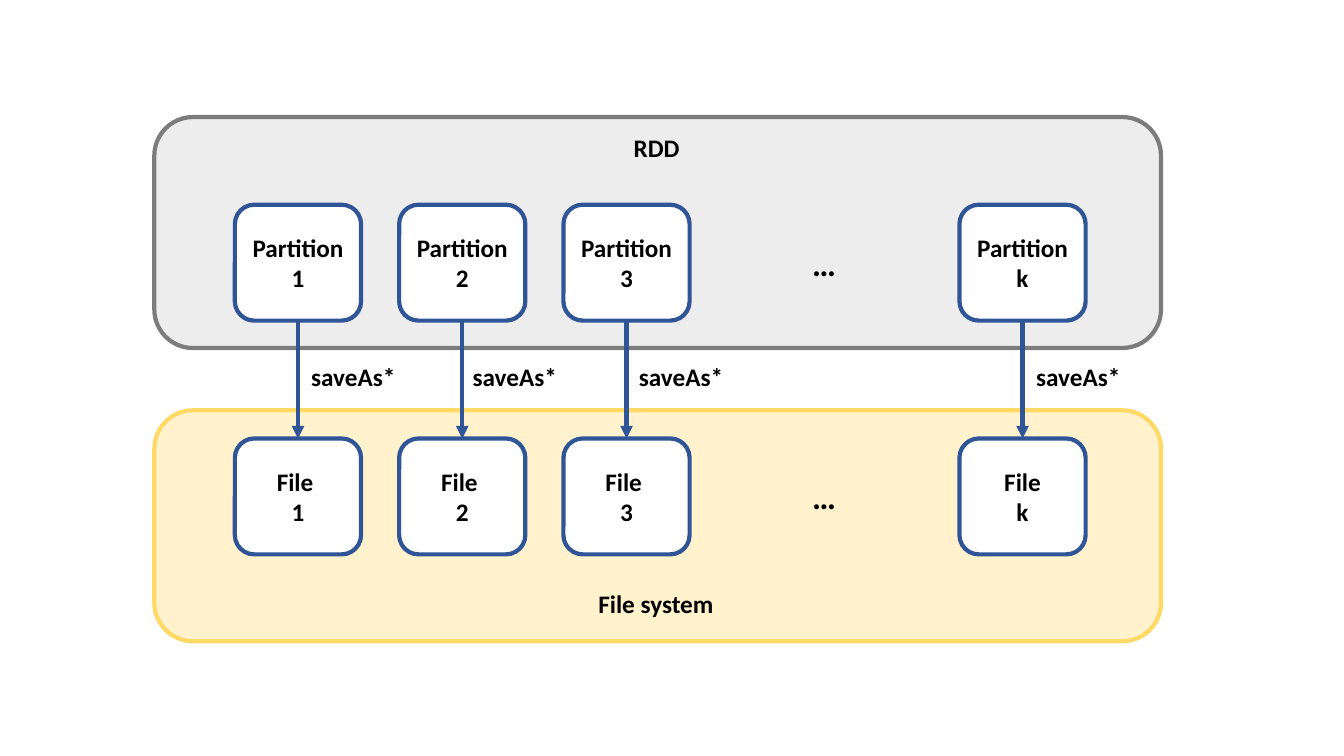
import pptx
import pptx.util
import pptx.dml.color
import pptx.oxml
import pptx.oxml.ns
from pptx.enum.shapes import MSO_CONNECTOR, MSO_SHAPE
from pptx.enum.text import MSO_ANCHOR, MSO_AUTO_SIZE, PP_ALIGN

Cm, Pt = pptx.util.Cm, pptx.util.Pt

# Content: key, file caption, left edge of the box, left edge of the save label
STEP, FIRST = 4.14, 5.92
columns = [
    ("1", "File ", FIRST, 7.59),
    ("2", "File ", FIRST + STEP, 11.66),
    ("3", "File ", FIRST + 2 * STEP, 15.85),
    ("k", "File", 24.18, 25.86),
]
# Containers: top, fill, line
containers = [(10.34, "FFF2CC", "FFD966"), (2.95, "EDEDED", "7C7C7C")]
# Captions: text, left, top, width, height, size
captions = [
    ("…", 20.22, 11.86, 1.12, 1.27, 24),
    ("…", 20.22, 5.99, 1.12, 1.27, 24),
    ("RDD", 15.72, 3.2, 1.68, 1.02, 18),
    ("File system", 14.83, 14.71, 3.43, 1.02, 18),
]
captions += [("saveAs*", label_left, 8.97, 2.64, 1.02, 18)
             for _, _, _, label_left in columns]

# Layout
CONTAINER_LEFT, CONTAINER_WIDTH, CONTAINER_HEIGHT = 3.89, 25.37, 5.82
BOX_WIDTH, BOX_HEIGHT = 3.18, 2.92
PARTITION_TOP, FILE_TOP = 5.16, 11.05
BLUE, BLACK, WHITE = "2F5597", "000000", "FFFFFF"

presentation = pptx.Presentation()
presentation.slide_width, presentation.slide_height = Cm(33.87), Cm(19.05)
slide = presentation.slides.add_slide(presentation.slide_layouts[6])


def color(hex_value):
    return pptx.dml.color.RGBColor.from_string(hex_value)


def write(frame, lines, size, align):
    for index, line in enumerate(lines):
        paragraph = frame.paragraphs[0] if index == 0 else frame.add_paragraph()
        paragraph.alignment = align
        run = paragraph.add_run()
        run.text = line
        run.font.name = "Calibri"
        run.font.size = Pt(size)
        run.font.bold = True
        run.font.color.rgb = color(BLACK)


def add_rounded(left, top, width, height, fill, line):
    rounded = slide.shapes.add_shape(
        MSO_SHAPE.ROUNDED_RECTANGLE, Cm(left), Cm(top), Cm(width), Cm(height))
    rounded.shadow.inherit = False
    rounded.fill.solid()
    rounded.fill.fore_color.rgb = color(fill)
    rounded.line.color.rgb = color(line)
    rounded.line.width = Pt(3)
    return rounded


def add_box(left, top, lines):
    box = add_rounded(left, top, BOX_WIDTH, BOX_HEIGHT, WHITE, BLUE)
    box.text_frame.word_wrap = True
    box.text_frame.vertical_anchor = MSO_ANCHOR.MIDDLE
    write(box.text_frame, lines, 18, PP_ALIGN.CENTER)
    return box


def add_arrow(source, target):
    arrow = slide.shapes.add_connector(MSO_CONNECTOR.STRAIGHT, 0, 0, 0, 0)
    arrow.begin_connect(source, 2)
    arrow.end_connect(target, 0)
    arrow.line.color.rgb = color(BLUE)
    arrow.line.width = Pt(3)
    namespace = pptx.oxml.ns.nsdecls("a")
    arrow.line._get_or_add_ln().append(
        pptx.oxml.parse_xml(f'<a:tailEnd {namespace} type="triangle"/>'))
    arrow._element.spPr.append(
        pptx.oxml.parse_xml(f"<a:effectLst {namespace}/>"))


# Containers
for top, fill, line in containers:
    add_rounded(CONTAINER_LEFT, top, CONTAINER_WIDTH, CONTAINER_HEIGHT, fill, line)

# Partitions saved to files
for key, file_caption, left, _ in columns:
    partition = add_box(left, PARTITION_TOP, [f"Partition {key}"])
    file_box = add_box(left, FILE_TOP, [file_caption, key])
    add_arrow(partition, file_box)

# Captions
for text, left, top, width, height, size in captions:
    caption = slide.shapes.add_textbox(Cm(left), Cm(top), Cm(width), Cm(height))
    caption.text_frame.word_wrap = False
    caption.text_frame.auto_size = MSO_AUTO_SIZE.SHAPE_TO_FIT_TEXT
    write(caption.text_frame, [text], size, PP_ALIGN.LEFT)

presentation.save("out.pptx")
